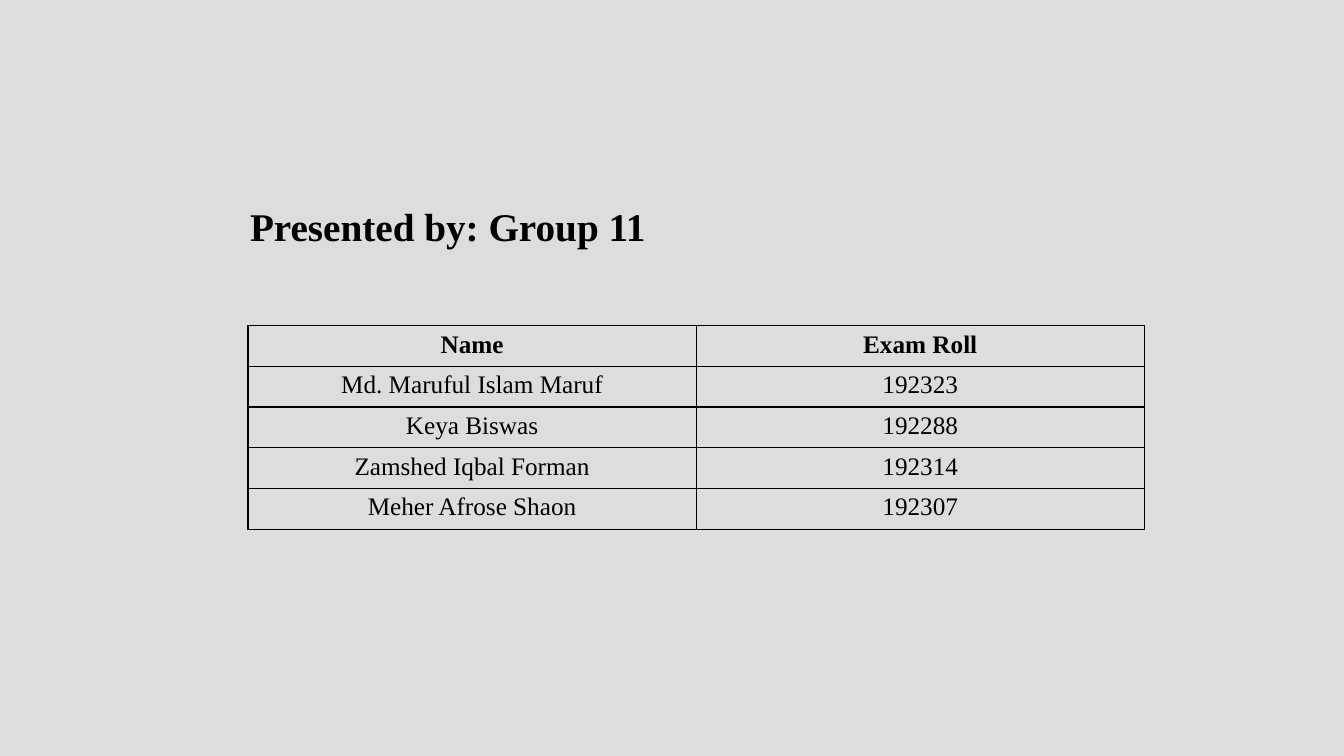
from pptx import Presentation, util as u
from pptx.dml.color import RGBColor
from pptx.enum import text
from pptx.oxml import parse_xml
from pptx.oxml.ns import nsdecls


def rgb(value):
    return RGBColor.from_string(value)


def set_all(obj, values):
    for name, value in values.items():
        setattr(obj, name, value)


class Deck:
    font = "Times New Roman"
    ink = "000000"
    paper = "DDDDDD"

    def __init__(self, width, height):
        self.prs = Presentation()
        set_all(self.prs, {"slide_width": u.Inches(width),
                           "slide_height": u.Inches(height)})

    def add_slide(self):
        self.s = self.prs.slides.add_slide(self.prs.slide_layouts[5])
        fill = self.s.background.fill
        fill.solid()
        fill.fore_color.rgb = rgb(self.paper)

    def add_words(self, tf, words, size, bold, align):
        p = tf.paragraphs[0]
        p.alignment = align
        r = p.add_run()
        r.text = words
        set_all(r.font, {"name": self.font, "size": u.Pt(size), "bold": bold})
        r.font.color.rgb = rgb(self.ink)
        return p

    def title(self, words, left, top, width, height):
        sp = self.s.shapes.title
        set_all(sp, {"left": u.Inches(left), "top": u.Inches(top),
                     "width": u.Inches(width), "height": u.Inches(height)})
        tf = sp.text_frame
        set_all(tf, {"word_wrap": True, "auto_size": text.MSO_AUTO_SIZE.NONE,
                     "vertical_anchor": text.MSO_ANCHOR.TOP})
        p = self.add_words(tf, words, 28, True, text.PP_ALIGN.LEFT)
        p.line_spacing = 1.1

    def border(self, cell):
        tcPr = cell._tc.get_or_add_tcPr()
        for i, side in enumerate(("lnL", "lnR", "lnT", "lnB")):
            tcPr.insert(i, parse_xml(
                f'<a:{side} {nsdecls("a")} w="{u.Pt(1)}"><a:solidFill>'
                f'<a:srgbClr val="{self.ink}"/></a:solidFill></a:{side}>'))

    def table(self, rows, left, top, width, height):
        frame = self.s.shapes.add_table(
            len(rows), len(rows[0]), u.Inches(left), u.Inches(top),
            u.Inches(width), u.Inches(height))
        tbl = frame.table
        set_all(tbl, {"first_row": False, "horz_banding": False})
        for i, row in enumerate(rows):
            for j, words in enumerate(row):
                cell = tbl.cell(i, j)
                cell.fill.background()
                self.border(cell)
                self.add_words(cell.text_frame, words, 18, i == 0,
                               text.PP_ALIGN.CENTER)


def main():
    deck = Deck(13.33, 7.5)
    deck.add_slide()
    deck.title("Presented by: Group 11", 2.38, 1.91, 9.71, 1.18)
    deck.table([
        ("Name", "Exam Roll"),
        ("Md. Maruful Islam Maruf", "192323"),
        ("Keya Biswas", "192288"),
        ("Zamshed Iqbal Forman", "192314"),
        ("Meher Afrose Shaon", "192307"),
    ], 2.46, 3.23, 8.89, 2.02)
    deck.prs.save("out.pptx")


if __name__ == "__main__":
    main()
